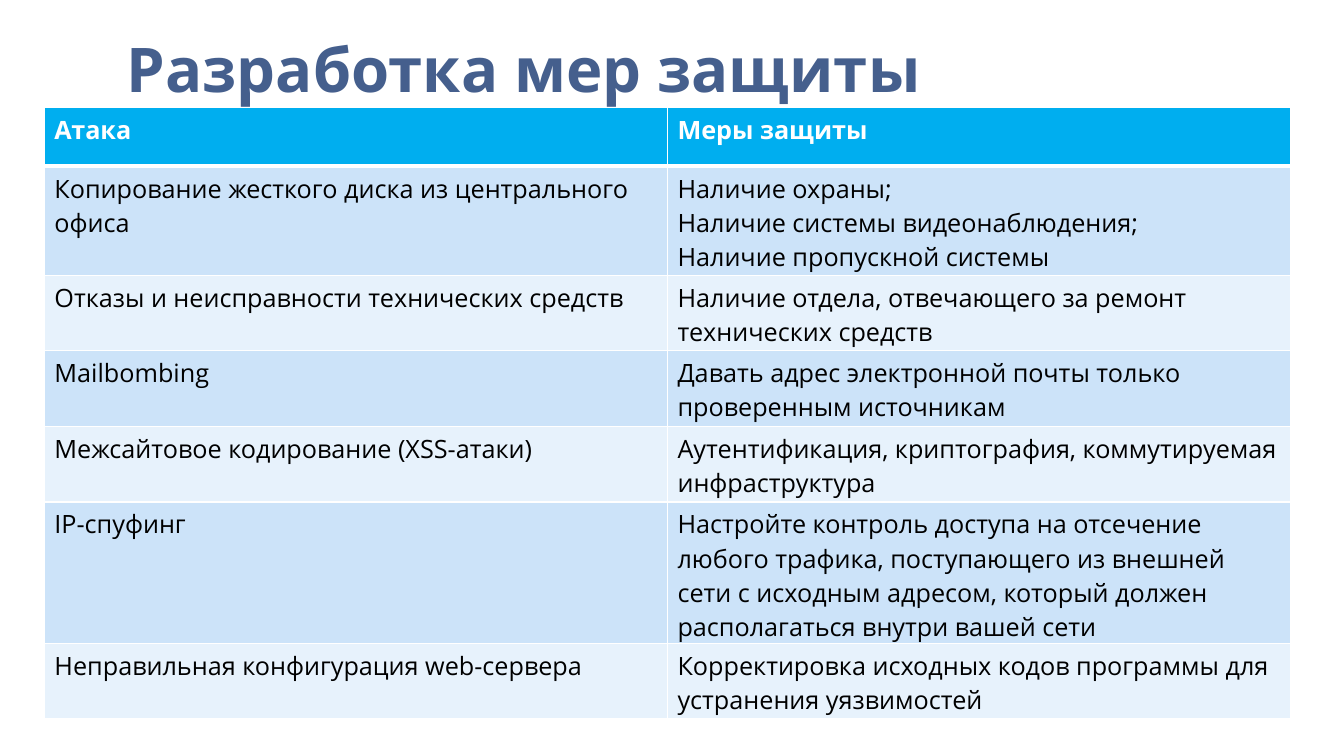
"""Build a slide with a table of attacks and protective measures."""
from lxml.etree import SubElement
from pptx import Presentation
from pptx.dml.color import RGBColor as RGB
from pptx.enum.text import MSO_ANCHOR as Anchor
from pptx.oxml.ns import qn
from pptx.util import Inches, Pt

FONT = "Open Sans"
TITLE = RGB(0x45, 0x5F, 0x8D)
HEAD = RGB(0x00, 0xAE, 0xEF)
DARK = RGB(0xCC, 0xE3, 0xF9)
LIGHT = RGB(0xE7, 0xF2, 0xFC)
WHITE = RGB(0xFF, 0xFF, 0xFF)
BLACK = RGB(0x00, 0x00, 0x00)

ROWS = [
    (0.58, "Атака", "Меры защиты"),
    (1.08, "Копирование жесткого диска из центрального офиса",
     "Наличие охраны;\nНаличие системы видеонаблюдения;\nНаличие пропускной системы"),
    (0.75, "Отказы и неисправности технических средств",
     "Наличие отдела, отвечающего за ремонт технических средств"),
    (0.75, "Mailbombing",
     "Давать адрес электронной почты только проверенным источникам"),
    (0.75, "Межсайтовое кодирование (XSS-атаки)",
     "Аутентификация, криптография, коммутируемая инфраструктура"),
    (1.4, "IP-спуфинг",
     "Настройте контроль доступа на отсечение любого трафика, поступающего из внешней "
     "сети с исходным адресом, который должен располагаться внутри вашей сети"),
    (0.75, "Неправильная конфигурация web-сервера",
     "Корректировка исходных кодов программы для устранения уязвимостей"),
]


def style(par, size, color, bold):
    font = par.font
    font.name, font.size, font.bold = FONT, Pt(size), bold
    font.color.rgb = color


def border(cell, side, width):
    props = cell._tc.get_or_add_tcPr()
    line = SubElement(props, qn(f"a:ln{side}"), w=str(Pt(width)))
    fill = SubElement(line, qn("a:solidFill"))
    SubElement(fill, qn("a:srgbClr"), val=str(WHITE))


deck = Presentation()
deck.slide_width, deck.slide_height = Inches(13.33), Inches(7.5)
slide = deck.slides.add_slide(deck.slide_layouts[6])

box = slide.shapes.add_textbox(Inches(1.16), Inches(0.29), Inches(9.5), Inches(0.79))
frame = box.text_frame
frame.word_wrap = True
frame.vertical_anchor = Anchor.BOTTOM
frame.text = "Разработка мер защиты"
title = frame.paragraphs[0]
title.line_spacing = 0.8
style(title, 44, TITLE, True)

table = slide.shapes.add_table(
    len(ROWS), 2, Inches(0.44), Inches(1.07), Inches(12.36), Inches(6.06)).table
for r, (height, *texts) in enumerate(ROWS):
    table.rows[r].height = Inches(height)
    head = r == 0
    for c, text in enumerate(texts):
        cell = table.cell(r, c)
        for side in "LRTB":
            thick = (head and side == "B") or (r == 1 and side == "T")
            border(cell, side, 3 if thick else 1)
        cell.fill.solid()
        cell.fill.fore_color.rgb = HEAD if head else DARK if r % 2 else LIGHT
        cell.text = text
        for par in cell.text_frame.paragraphs:
            style(par, 18, WHITE if head else BLACK, head)

deck.save("out.pptx")
